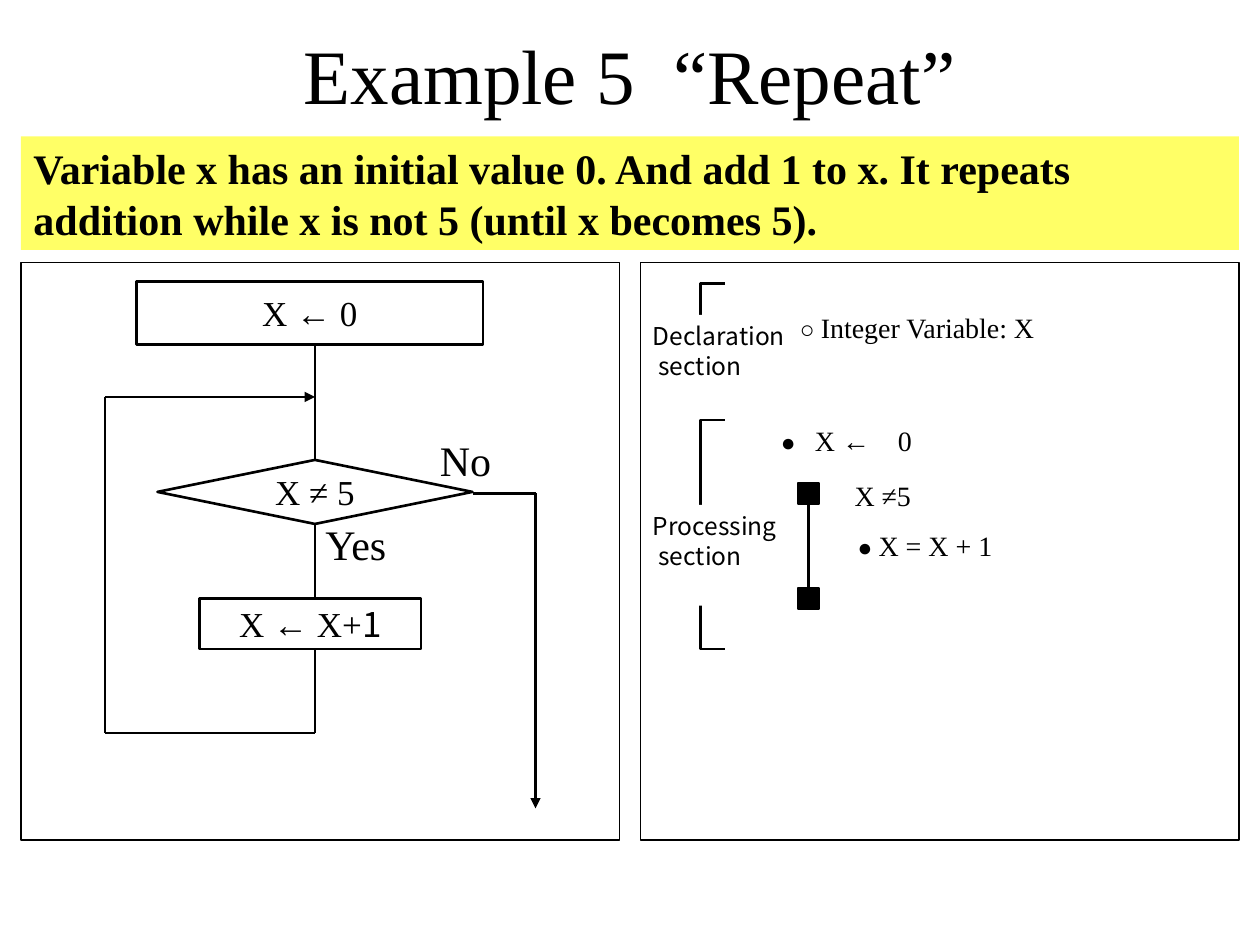
from lxml import etree
from pptx import Presentation
from pptx import util as u
from pptx.dml.color import RGBColor
from pptx.enum import shapes, text
from pptx.oxml.ns import qn

# The slide is a grid of 120 columns by 90 rows; every place below is in grid cells.
COLUMNS, ROWS = 120, 90
WIDTH, HEIGHT = u.Inches(10), u.Inches(7.5)


class Theme:
    serif, sans = "Times New Roman", "Noto Sans CJK JP"
    ink, paper, highlight = (RGBColor.from_string(c) for c in ("000000", "FFFFFF", "FFFF66"))
    title, body, node, code, label = 44, 24, 20, 16, 14
    thin, thick = 0.75, 1.5


RECT = shapes.MSO_SHAPE.RECTANGLE
PROCESS = shapes.MSO_SHAPE.FLOWCHART_PROCESS
DECISION = shapes.MSO_SHAPE.FLOWCHART_DECISION

# Text: a list of paragraphs, each a list of (words, size, font) runs.
TITLE = [[("Example 5  “Repeat”", Theme.title, Theme.serif)]]
TASK = [[("Variable x has an initial value 0. And add 1 to x. It repeats addition "
          "while x is not 5 (until x becomes 5).", Theme.body, Theme.serif)]]

PANEL_LEFTS, PANEL_TOP, PANEL_SIZE = (2, 61), 25, (57, 55)

# Flowchart columns and rows
LOOP, AXIS, EXIT = 10, 30, 51
MERGE, TEST, RETURN = 37.8, 47, 69.8
NODES = [
    (PROCESS, (13, 26.8, 33, 6), [("X ← 0", Theme.node, Theme.serif)]),
    (DECISION, (15, 43.8, 30, 6.1), [("X ≠ 5", Theme.node, Theme.serif)]),
    (PROCESS, (19, 57, 21.1, 4.8), [("X ← X+", Theme.node, Theme.serif),
                                    ("1", Theme.node, Theme.sans)]),
]
FLOW = [  # start, end, arrowhead
    ((AXIS, 32.8), (AXIS, RETURN), False),
    ((LOOP, RETURN), (AXIS, RETURN), False),
    ((LOOP, MERGE), (LOOP, RETURN), False),
    ((LOOP, MERGE), (AXIS, MERGE), True),
    ((45, TEST), (EXIT, TEST), False),
    ((EXIT, TEST), (EXIT, 77), True),
]
BRANCHES = [((40.7, 40.8, 7.3, 6), "No"), ((29.8, 48.8, 8.6, 6), "Yes")]

# Pseudocode: bracket top and bottom, label top, label words
SECTIONS = [(27, 39, 30, "Declaration"), (40, 61.8, 48.1, "Processing")]
BRACKET_LEFT, BRACKET_RIGHT = 66.7, 69
STATEMENTS = [  # place, mark, words
    ((75, 29, 40, 4.4), "○ ", "Integer Variable: X"),
    ((73.2, 39.7, 24, 4.4), "●\t", "X ←　0"),
    ((80.2, 45, 24.8, 4.4), "", "X ≠5"),
    ((80.5, 49.7, 24, 4.4), "● ", "X = X + 1"),
]
MARK_WIDTH = u.Inches(0.27)
REPEAT_LEFT, REPEAT_TOPS, REPEAT_SIZE = 76, (46, 56), 2


def x(column):
    return round(WIDTH * column / COLUMNS)


def y(row):
    return round(HEIGHT * row / ROWS)


def place(box):
    left, top, width, height = box
    return x(left), y(top), x(width), y(height)


def write(shape, paragraphs, bold=False, centred=False, wrap=True, grow=False):
    frame = shape.text_frame
    frame.word_wrap = wrap
    if grow:
        frame.auto_size = text.MSO_AUTO_SIZE.SHAPE_TO_FIT_TEXT
    frame.vertical_anchor = text.MSO_ANCHOR.MIDDLE if centred else text.MSO_ANCHOR.TOP
    for index, runs in enumerate(paragraphs):
        paragraph = frame.add_paragraph() if index else frame.paragraphs[0]
        paragraph.alignment = text.PP_ALIGN.CENTER if centred else text.PP_ALIGN.LEFT
        for words, size, name in runs:
            run = paragraph.add_run()
            run.text = words
            font = run.font
            font.size, font.name, font.bold = u.Pt(size), name, bold
            font.color.rgb = Theme.ink


def outline(shape, fill=None, weight=None):
    shape.shadow.inherit = False
    if fill is None:
        shape.fill.background()
    else:
        shape.fill.solid()
        shape.fill.fore_color.rgb = fill
    if weight is None:
        shape.line.fill.background()
    else:
        shape.line.color.rgb = Theme.ink
        shape.line.width = u.Pt(weight)
    return shape


def add_box(slide, box, kind=RECT, fill=None, weight=None):
    return outline(slide.shapes.add_shape(kind, *place(box)), fill, weight)


def add_text(slide, box, paragraphs, **layout):
    shape = slide.shapes.add_textbox(*place(box))
    write(shape, paragraphs, **layout)
    return shape


def add_line(slide, start, end, arrow=False):
    line = slide.shapes.add_connector(shapes.MSO_CONNECTOR.STRAIGHT,
                                      x(start[0]), y(start[1]), x(end[0]), y(end[1]))
    line.line.color.rgb = Theme.ink
    line.line.width = u.Pt(Theme.thick)
    if arrow:
        etree.SubElement(line.line._get_or_add_ln(), qn("a:tailEnd"), type="triangle")
    etree.SubElement(line._element.spPr, qn("a:effectLst"))


def add_bracket(slide, top, bottom):
    builder = slide.shapes.build_freeform(x(BRACKET_RIGHT), y(top))
    builder.add_line_segments([(x(BRACKET_LEFT), y(top)), (x(BRACKET_LEFT), y(bottom)),
                               (x(BRACKET_RIGHT), y(bottom))], close=False)
    outline(builder.convert_to_shape(), weight=Theme.thick)


def add_tab_stop(paragraph, distance):
    stops = etree.SubElement(paragraph._p.get_or_add_pPr(), qn("a:tabLst"))
    etree.SubElement(stops, qn("a:tab"), pos=str(distance), algn="l")


def draw_flowchart(slide):
    for start, end, arrow in FLOW:
        add_line(slide, start, end, arrow)
    for kind, box, runs in NODES:
        node = add_box(slide, box, kind, Theme.paper, Theme.thick)
        write(node, [runs], centred=True, wrap=False)
    for box, words in BRANCHES:
        add_text(slide, box, [[(words, Theme.body, Theme.serif)]], wrap=False, grow=True)


def draw_pseudocode(slide):
    for top, bottom, label_top, name in SECTIONS:
        add_bracket(slide, top, bottom)
        label = add_box(slide, (PANEL_LEFTS[1], label_top, 16, 9.6), fill=Theme.paper)
        write(label, [[(words, Theme.label, Theme.sans)] for words in (name, " section")])
    for box, mark, words in STATEMENTS:
        runs = [(mark, Theme.label, Theme.serif)] if mark else []
        runs.append((words, Theme.code, Theme.serif))
        shape = add_text(slide, box, [runs], grow=True)
        if "\t" in mark:
            add_tab_stop(shape.text_frame.paragraphs[0], MARK_WIDTH)
    middle = REPEAT_LEFT + REPEAT_SIZE / 2
    add_line(slide, *((middle, top + REPEAT_SIZE / 2) for top in REPEAT_TOPS))
    for top in REPEAT_TOPS:
        add_box(slide, (REPEAT_LEFT, top, REPEAT_SIZE, REPEAT_SIZE),
                fill=Theme.ink, weight=Theme.thin)


def main():
    presentation = Presentation()
    presentation.slide_width, presentation.slide_height = WIDTH, HEIGHT
    slide = presentation.slides.add_slide(presentation.slide_layouts[6])
    add_text(slide, (9, 2, 102, 10), TITLE, centred=True)
    banner = add_box(slide, (2, 13, 116, 10.8), fill=Theme.highlight)
    write(banner, TASK, bold=True, grow=True)
    draw_flowchart(slide)
    draw_pseudocode(slide)
    for left in PANEL_LEFTS:
        add_box(slide, (left, PANEL_TOP, *PANEL_SIZE), weight=Theme.thin)
    presentation.save("out.pptx")


if __name__ == "__main__":
    main()
